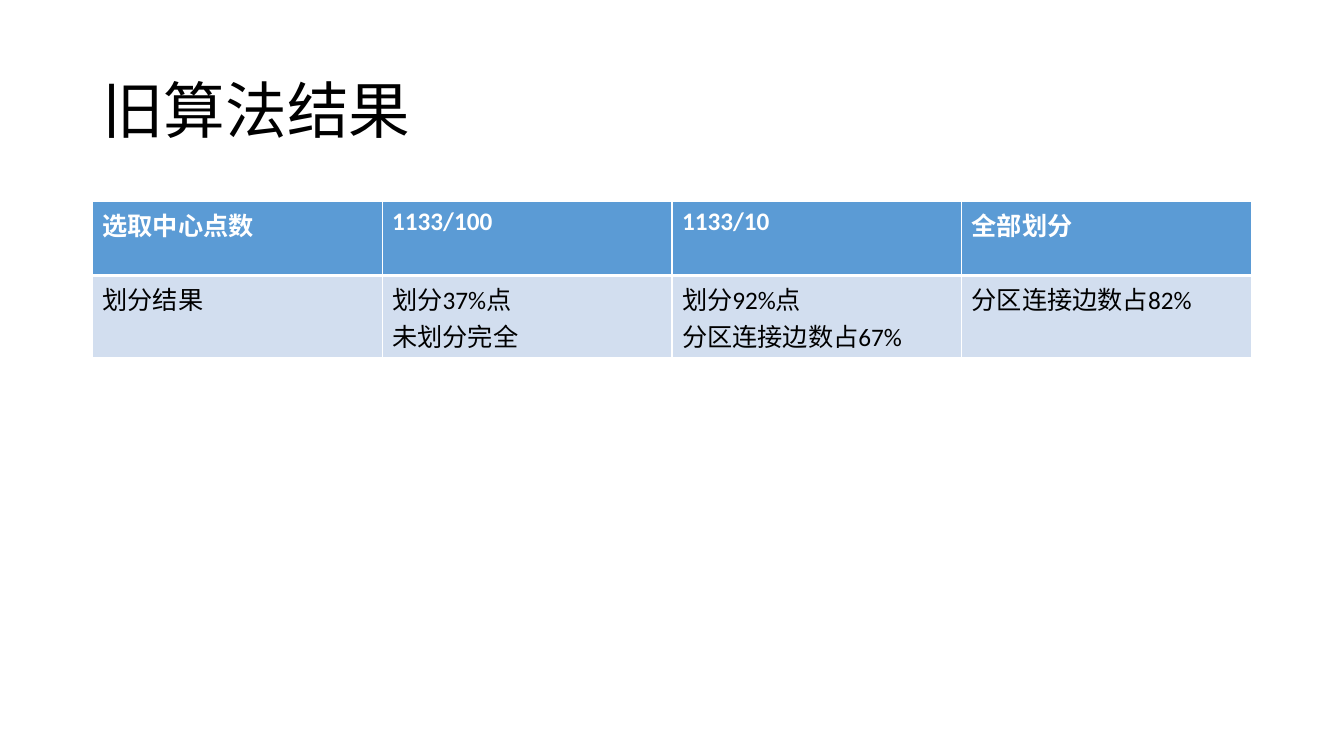
from pptx import Presentation
from pptx.dml.color import RGBColor as RGB
from pptx.enum.text import MSO_ANCHOR as ANCHOR
from pptx.oxml import parse_xml
from pptx.util import Pt

TITLE = "旧算法结果"
ROWS = [
    ["选取中心点数", "1133/100", "1133/10", "全部划分"],
    ["划分结果", "划分37%点\n未划分完全", "划分92%点\n分区连接边数占67%", "分区连接边数占82%"],
]
COLORS = {"header": "5B9BD5", "body": "D2DEEF", "light": "FFFFFF", "dark": "000000"}
FONT = "Calibri"
LEFT, WIDTH = 66, 828
TABLE_TOP, ROW_HEIGHTS = 144, (52.8, 59)
THIN, THICK = 1, 3
NS = "http://schemas.openxmlformats.org/drawingml/2006/main"


def style(p, size, color, bold=False):
    p.font.name = FONT
    p.font.size = Pt(size)
    p.font.bold = bold
    p.font.color.rgb = RGB.from_string(COLORS[color])


def add_borders(cell, top, bottom):
    tc_pr = cell._tc.get_or_add_tcPr()
    for side, width in (("L", THIN), ("R", THIN), ("T", top), ("B", bottom)):
        tc_pr.append(parse_xml(
            f'<a:ln{side} xmlns:a="{NS}" w="{Pt(width)}"><a:solidFill>'
            f'<a:srgbClr val="{COLORS["light"]}"/></a:solidFill></a:ln{side}>'))


prs = Presentation()
prs.slide_width, prs.slide_height = Pt(960), Pt(540)
slide = prs.slides.add_slide(prs.slide_layouts[6])

sp = slide.shapes.add_textbox(Pt(LEFT), Pt(28.75), Pt(WIDTH), Pt(104.4))
tf = sp.text_frame
tf.word_wrap = True
tf.vertical_anchor = ANCHOR.MIDDLE
p = tf.paragraphs[0]
p.text = TITLE
p.line_spacing = 0.9
style(p, 44, "dark")

table = slide.shapes.add_table(
    len(ROWS), len(ROWS[0]), Pt(LEFT), Pt(TABLE_TOP),
    Pt(WIDTH), Pt(sum(ROW_HEIGHTS))).table
for i, (row, height) in enumerate(zip(ROWS, ROW_HEIGHTS)):
    header = i == 0
    table.rows[i].height = Pt(height)
    for j, text in enumerate(row):
        cell = table.cell(i, j)
        cell.text = text
        add_borders(cell, THIN if header else THICK, THICK if header else THIN)
        cell.fill.solid()
        cell.fill.fore_color.rgb = RGB.from_string(COLORS["header" if header else "body"])
        for p in cell.text_frame.paragraphs:
            style(p, 18, "light" if header else "dark", header)

prs.save("out.pptx")
